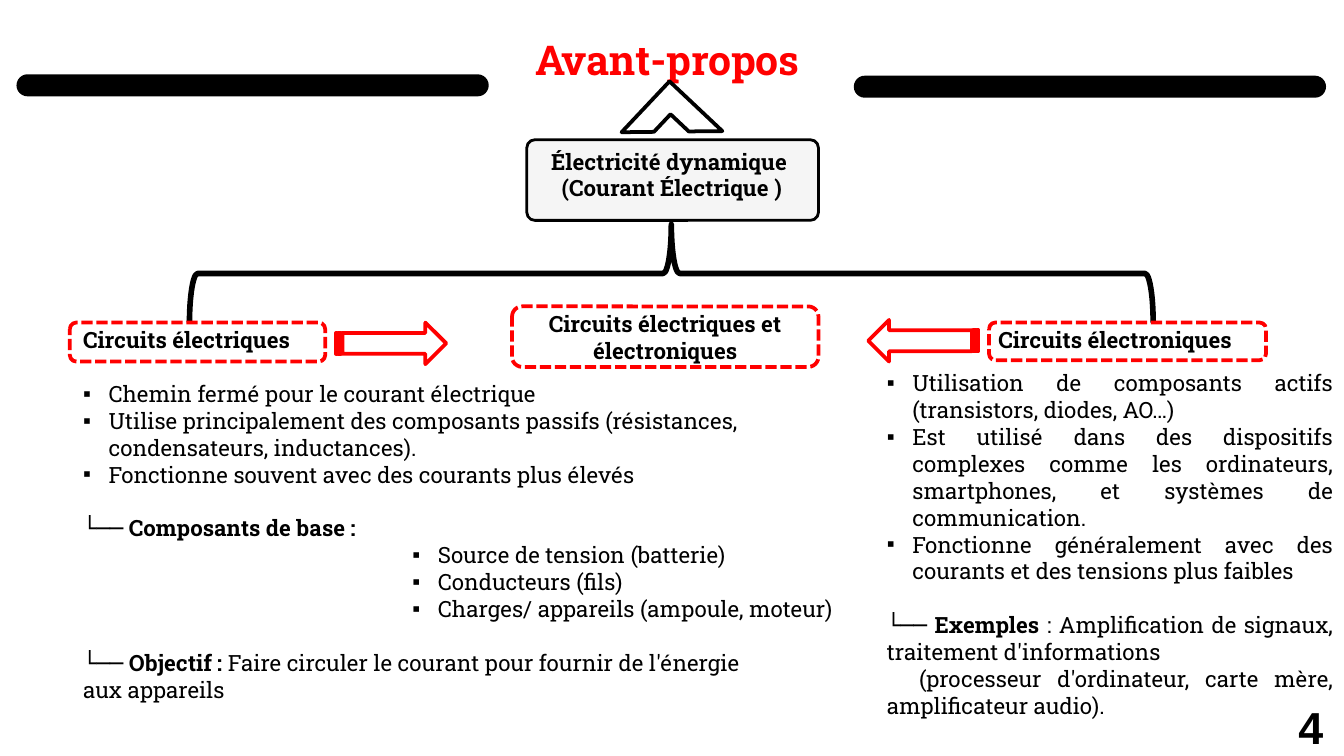
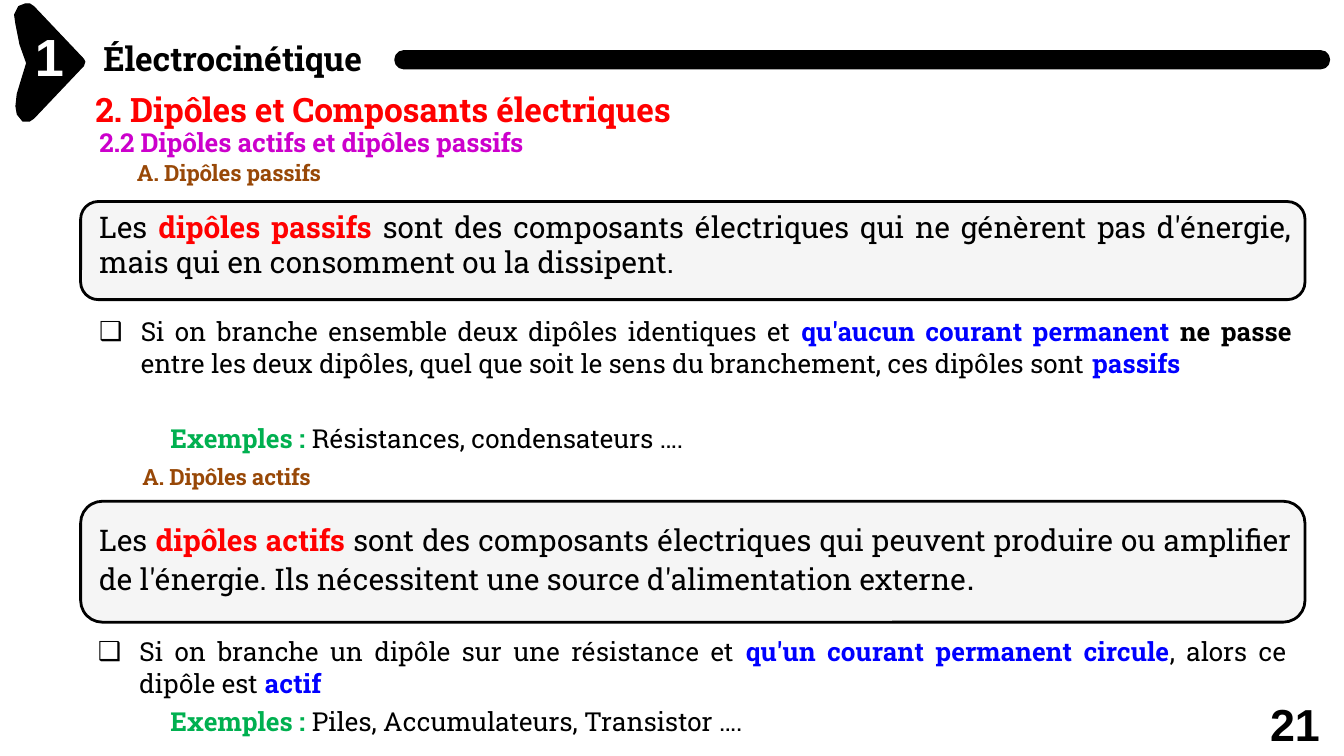
from lxml import etree
from pptx import Presentation, util as u
from pptx.dml.color import RGBColor
from pptx.enum import dml, shapes, text
from pptx.oxml.ns import qn

HUE = {"ink": "000000", "white": "FFFFFF", "red": "FF0000", "pink": "CC00CC",
       "brown": "984807", "blue": "0000FF", "green": "00B050", "card": "F2F2F2"}
SLAB, SANS = "Roboto Slab", "Arial"
KIND = shapes.MSO_SHAPE
SIDE = {"l": text.PP_ALIGN.LEFT, "c": text.PP_ALIGN.CENTER, "j": text.PP_ALIGN.JUSTIFY}
LINE = 14.4
INSET = (0.1, 0.05, 0.1, 0.05)
HEAD = (0.11, 0.05, 0.1, 0.05)
DOT, BOX = ("▪", 0.19), ("❑", 0.31)


def par(*runs, mark=None, gap=0, dent=0):
    return {"runs": [r if isinstance(r, tuple) else (r,) for r in runs],
            "mark": mark, "gap": gap, "dent": dent}


def bold(words, hue="ink", *size):
    return words, True, hue, *size


def dots(*rows):
    return [par(row, mark=DOT) for row in rows]


TOPIC = [par(bold("Électricité dynamique ")), par(bold("(Courant Électrique )"))]
BASIC = [
    par(bold("Circuits électriques")),
    *dots("Chemin fermé pour le courant électrique",
          "Utilise principalement des composants passifs (résistances, condensateurs, inductances).",
          "Fonctionne souvent avec des courants plus élevés"),
    par(bold("└── Composants de base :"), gap=LINE),
    par("└── ", bold("Objectif : "),
        "Faire circuler le courant pour fournir de l'énergie aux appareils", gap=4 * LINE),
]
BASIC[1]["gap"] = LINE
PARTS = dots("Source de tension (batterie)", "Conducteurs (fils)",
             "Charges/ appareils (ampoule, moteur)")
ACTIVE = [
    *dots("Utilisation de composants actifs (transistors, diodes, AO…)",
          "Est utilisé dans des dispositifs complexes comme les ordinateurs, smartphones, "
          "et systèmes de communication.",
          "Fonctionne généralement avec des courants et des tensions plus faibles"),
    par(bold("└── Exemples "), ": Amplification de signaux, traitement d'informations", gap=LINE),
    par("(processeur d'ordinateur, carte mère, amplificateur audio).", dent=0.24),
]
MIXED = [par(bold("Circuits électriques et électroniques"))]
FRAMES = [(0.52, 2.4, 1.9, 0.29), (7.36, 2.4, 2.06, 0.28), (3.81, 2.28, 2.28, 0.45)]
ARROWS = [(2.5, 2.4, 0), (6.46, 2.38, 180)]

HEADS = [
    ((0.6, 0.61, 5.15, 0.4), 18, [par(bold("2. Dipôles et Composants électriques", "red"))]),
    ((0.63, 0.89, 5, 0.59), 14,
     [par(bold("2.2 Dipôles actifs et dipôles passifs", "pink")),
      par(bold("A. Dipôles passifs", "brown", 12), gap=1, dent=0.28)]),
    ((0.95, 3.4, 5, 0.3), 12, [par(bold("A. Dipôles actifs", "brown"))]),
]
CARDS = [
    ((1.5, 0.73), 1.5,
     par("Les ", bold("dipôles passifs ", "red"),
         "sont des composants électriques qui ne génèrent pas d'énergie, "
         "mais qui en consomment ou la dissipent.")),
    ((3.73, 0.9), 3.83,
     par("Les ", bold("dipôles actifs ", "red"),
         "sont des composants électriques qui peuvent produire ou amplifier de l'énergie. "
         "Ils nécessitent une source d'alimentation externe", (".", False, "ink", 18))),
]
TESTS = [
    ((0.64, 2.3, 9.07, 0.81),
     par("Si on branche ensemble deux dipôles identiques et ",
         bold("qu'aucun courant permanent ", "blue"), bold("ne passe "),
         "entre les deux dipôles, quel que soit le sens du branchement, ces dipôles sont ",
         bold("passifs", "blue"), mark=BOX)),
    ((0.63, 4.68, 9.04, 0.57),
     par("Si on branche un dipôle sur une résistance et ",
         bold("qu'un courant permanent circule", "blue"), ", alors ce dipôle est ",
         bold("actif", "blue"), mark=BOX)),
]
CASES = [(3.09, "Résistances, condensateurs …."), (5.2, "Piles, Accumulateurs, Transistor ….")]
BADGE = [(19, 3), (14, 5), (11, 11), (12, 18), (15, 33), (20, 47),
         (16, 60), (13, 70), (12, 79), (13, 85), (17, 90), (22, 90),
         (25, 88), (62, 49), (63, 46), (62, 44), (25, 5), (22, 3)]


def rgb(hue):
    return RGBColor.from_string(HUE[hue])


def place(at):
    return [u.Inches(n) for n in at]


def write(shape, pars, size, side="l", font=SLAB, inset=INSET, lead=None, track=0):
    frame = shape.text_frame
    frame.word_wrap = True
    (frame.margin_left, frame.margin_top,
     frame.margin_right, frame.margin_bottom) = place(inset)
    for i, item in enumerate(pars):
        p = frame.paragraphs[0] if i == 0 else frame.add_paragraph()
        p.alignment = SIDE[side]
        p.space_before = u.Pt(item["gap"])
        if lead:
            p.line_spacing = u.Pt(lead)
        prop = p._p.get_or_add_pPr()
        if item["dent"]:
            prop.set("indent", str(u.Inches(item["dent"])))
        if item["mark"]:
            sign, hang = item["mark"]
            prop.set("marL", str(u.Inches(hang)))
            prop.set("indent", str(-u.Inches(hang)))
            etree.SubElement(prop, qn("a:buFont")).set("typeface", SANS)
            etree.SubElement(prop, qn("a:buChar")).set("char", sign)
        for words, *look in item["runs"]:
            heavy, hue, big = look + [False, "ink", size][len(look):]
            r = p.add_run()
            r.text = words
            r.font.name, r.font.size, r.font.bold = font, u.Pt(big), heavy
            r.font.color.rgb = rgb(hue)
            if track:
                r._r.get_or_add_rPr().set("spc", str(track))


def label(slide, at, pars, size, side="l", **look):
    box = slide.shapes.add_textbox(*place(at))
    write(box, pars, size, side, **look)
    box.text_frame.auto_size = text.MSO_AUTO_SIZE.SHAPE_TO_FIT_TEXT


def paint(shape, fill=None, line=None, width=1):
    shape.shadow.inherit = False
    if fill:
        shape.fill.solid()
        shape.fill.fore_color.rgb = rgb(fill)
    else:
        shape.fill.background()
    if line:
        shape.line.color.rgb = rgb(line)
        shape.line.width = u.Pt(width)
    else:
        shape.line.fill.background()
    return shape


def draw(slide, kind, at, fill=None, line=None, width=1, turn=0):
    shape = paint(slide.shapes.add_shape(kind, *place(at)), fill, line, width)
    shape.rotation = turn
    return shape


def bar(slide, at):
    draw(slide, KIND.ROUNDED_RECTANGLE, at, "ink", "ink").adjustments[0] = 0.5


def card(slide, at, curve):
    shape = draw(slide, KIND.ROUNDED_RECTANGLE, at, "card", "ink", 1.5)
    shape.adjustments[0] = curve
    tint = shape.fill._xPr.find(qn("a:solidFill"))[0]
    etree.SubElement(tint, qn("a:alpha")).set("val", "74000")


def number(slide, at, page):
    label(slide, at, [par(bold(page))], 24, font=SANS, inset=(0.04, 0, 0, 0), lead=24.3)


def preface(slide):
    label(slide, (3.32, 0.21, 3.28, 0.47), [par(bold("Avant-propos", "red"))], 22, "c",
          inset=HEAD, track=-10)
    bar(slide, (0.13, 0.56, 3.5, 0.15))
    bar(slide, (6.36, 0.57, 3.5, 0.15))
    draw(slide, KIND.HALF_FRAME, (4.73, 0.72, 0.54, 0.52), "white", "ink", 2, 43.3)
    card(slide, (3.92, 1.04, 2.17, 0.6), 0.1)
    label(slide, (3.08, 1.05, 3.84, 0.5), TOPIC, 12, "c")
    draw(slide, KIND.LEFT_BRACE, (4.63, -1.55, 0.73, 7.17), None, "ink", 3, 90)
    label(slide, (0.52, 2.38, 5.4, 2.93), BASIC, 12)
    label(slide, (2.97, 3.98, 3.63, 0.71), PARTS, 12)
    label(slide, (7.33, 2.38, 2.6, 0.3), [par(bold("Circuits électroniques"))], 12)
    label(slide, (6.5, 2.7, 3.52, 2.73), ACTIVE, 12, "j")
    for at in FRAMES:
        frame = draw(slide, KIND.ROUNDED_RECTANGLE, at, None, "red", 2)
        frame.line.dash_style = dml.MSO_LINE.SQUARE_DOT
    write(frame, MIXED, 12, "c")
    for left, top, turn in ARROWS:
        draw(slide, KIND.STRIPED_RIGHT_ARROW, (left, top, 0.82, 0.31), None, "red", 2, turn)
    number(slide, (9.62, 5.27, 0.27, 0.36), "4")


def dipoles(slide):
    label(slide, (0.76, 0.26, 5.83, 0.33), [par(bold("Électrocinétique"))], 18,
          inset=(0.01, 0.02, 0, 0), track=-10)
    pen = slide.shapes.build_freeform(*BADGE[0], scale=u.Inches(0.01))
    pen.add_line_segments(BADGE[1:], close=True)
    paint(pen.convert_to_shape(), "ink", "ink", 0.75)
    label(slide, (0.25, 0.16, 0.24, 0.49), [par(bold("1", "white"))], 28,
          font=SANS, inset=(0.01, 0.02, 0, 0))
    bar(slide, (2.94, 0.38, 6.95, 0.13))
    for at, size, pars in HEADS:
        label(slide, at, pars, size, inset=HEAD, track=-10)
    for (top, high), line, item in CARDS:
        card(slide, (0.6, top, 9.11, high), 0.18)
        label(slide, (0.64, line, 9.07, 0.65), [item], 16, "j")
    for at, item in TESTS:
        label(slide, at, [item], 14, "j")
    for top, words in CASES:
        case = draw(slide, KIND.RECTANGLE, (1.17, top, 7.11, 0.34), "white")
        write(case, [par(bold("Exemples : ", "green"), words)], 14, "j")
        case.text_frame.vertical_anchor = text.MSO_ANCHOR.TOP
    number(slide, (9.41, 5.25, 0.62, 0.34), "21")


def main():
    deck = Presentation()
    deck.slide_width = u.Inches(10)
    deck.slide_height = deck.slide_width * 9 // 16
    for build in (preface, dipoles):
        build(deck.slides.add_slide(deck.slide_layouts[6]))
    deck.save("out.pptx")


if __name__ == "__main__":
    main()
